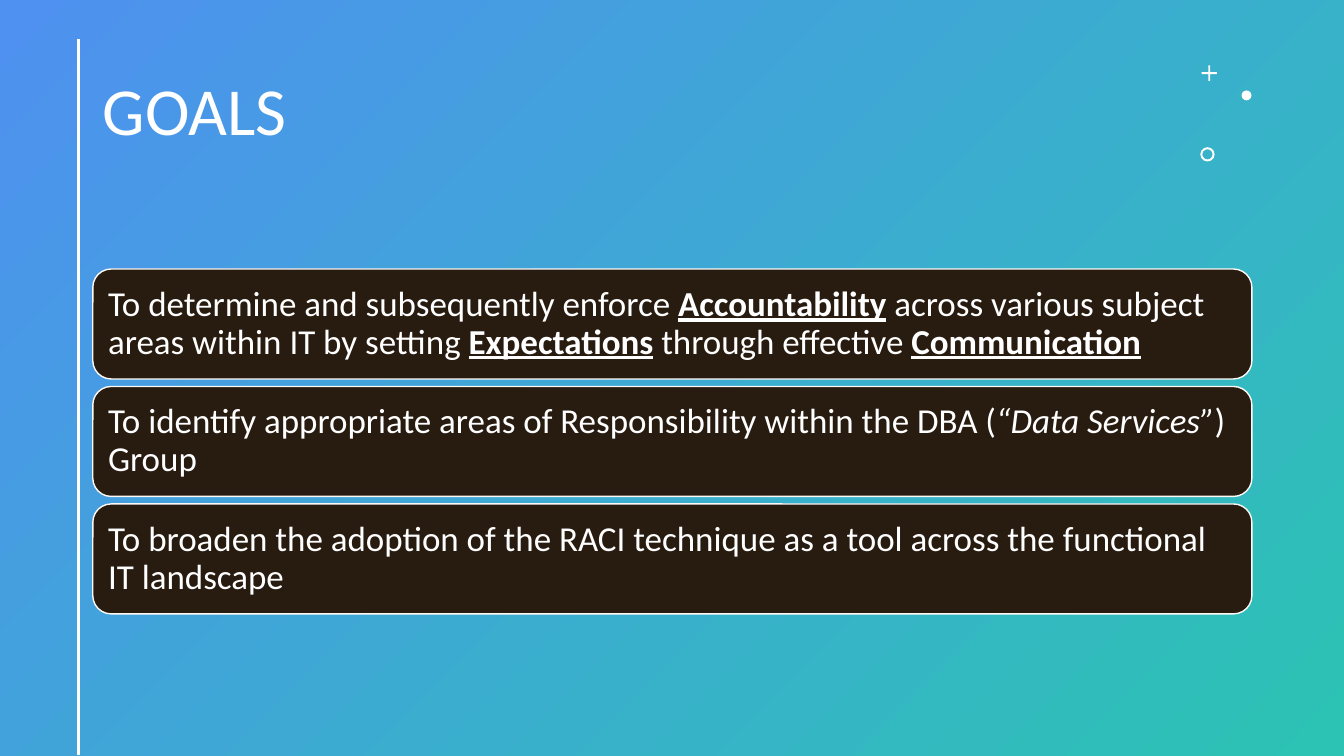
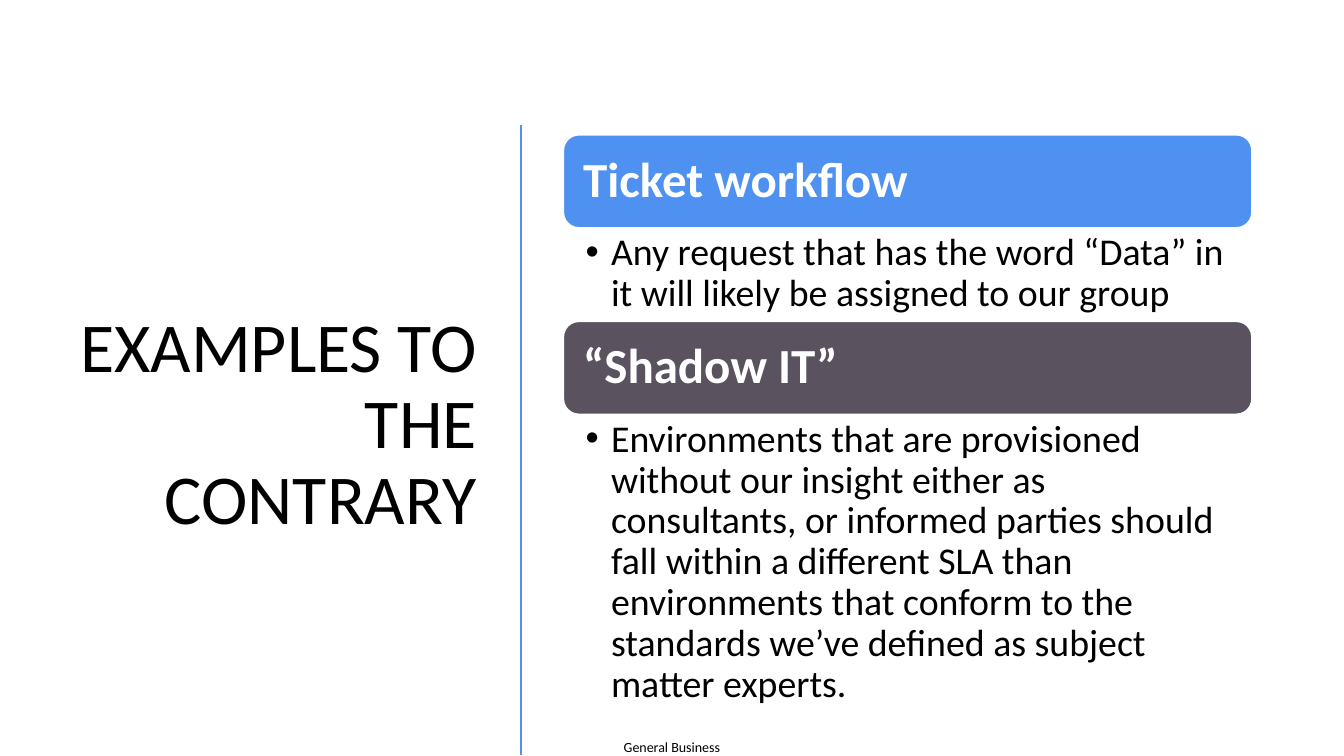
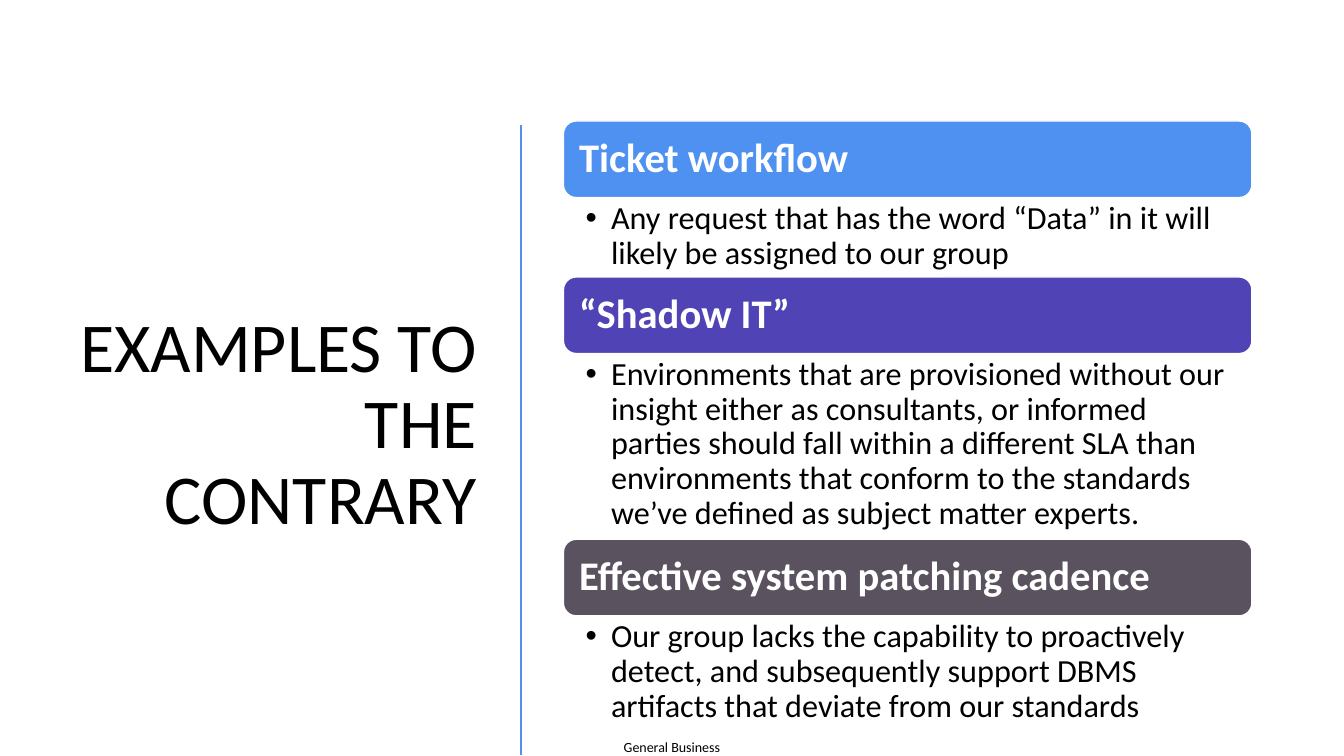
from lxml import etree
from pptx import Presentation
from pptx.dml.color import RGBColor
from pptx.enum.shapes import MSO_CONNECTOR, MSO_SHAPE
from pptx.enum.text import MSO_ANCHOR, MSO_AUTO_SIZE, PP_ALIGN
from pptx.oxml.ns import qn
from pptx.util import Cm, Pt

STRAIGHT = MSO_CONNECTOR.STRAIGHT
ROUNDED, OVAL = MSO_SHAPE.ROUNDED_RECTANGLE, MSO_SHAPE.OVAL
CROSS, DONUT = MSO_SHAPE.CROSS, MSO_SHAPE.DONUT
TOP, MIDDLE = MSO_ANCHOR.TOP, MSO_ANCHOR.MIDDLE
LEFT, RIGHT = PP_ALIGN.LEFT, PP_ALIGN.RIGHT
NO_AUTOFIT = MSO_AUTO_SIZE.NONE

FONT = "Calibri"
COLORS = {
    "white": "FFFFFF", "black": "000000", "blue": "4E91F0", "teal": "2CC3B4",
    "brown": "281B10", "cream": "FFF9F5", "grey": "5B5260", "violet": "5043B5",
}
SLIDE_W, SLIDE_H = 33.87, 19.05
RULE_END = 19.02

# Goal cards: runs of (text, style), where b is bold underlined and i is italic
GOALS = [
    [("To determine and subsequently enforce ", ""), ("Accountability", "b"),
     (" across various subject areas within IT by setting ", ""), ("Expectations", "b"),
     (" through effective ", ""), ("Communication", "b")],
    [("To identify appropriate areas of Responsibility within the DBA (", ""),
     ("“Data Services”", "i"), (") Group", "")],
    [("To broaden the adoption of the RACI technique as a tool across the functional "
      "IT landscape", "")],
]

# Examples: heading and explanation
TICKETS = ("Ticket workflow",
           "Any request that has the word “Data” in it will likely be assigned to our group")
SHADOW_IT = ("“Shadow IT”",
             "Environments that are provisioned without our insight either as consultants, "
             "or informed parties should fall within a different SLA than environments that "
             "conform to the standards we’ve defined as subject matter experts.")
PATCHING = ("Effective system patching cadence",
            "Our group lacks the capability to proactively detect, and subsequently support "
            "DBMS artifacts that deviate from our standards")


def rgb(name):
    return RGBColor.from_string(COLORS[name])


def box_cm(box):
    return [Cm(length) for length in box]


def style_frame(frame, size, color, anchor=TOP, align=LEFT, insets=(0, 0, 0, 0),
                spacing=0.9, bold=False):
    """Format a filled text frame; insets are left, top, right, bottom."""
    frame.word_wrap = True
    frame.auto_size = NO_AUTOFIT
    frame.vertical_anchor = anchor
    (frame.margin_left, frame.margin_top,
     frame.margin_right, frame.margin_bottom) = box_cm(insets)
    for paragraph in frame.paragraphs:
        paragraph.alignment = align
        paragraph.line_spacing = spacing
        for run in paragraph.runs:
            run.font.name = FONT
            run.font.size = Pt(size)
            run.font.bold = bold
            run.font.color.rgb = rgb(color)


def add_title(slide, text, box, size, color, align=LEFT):
    title = slide.shapes.title
    title.left, title.top, title.width, title.height = box_cm(box)
    title.text_frame.text = text
    style_frame(title.text_frame, size, color, MIDDLE, align, (0.25, 0.13, 0.25, 0.13))


def add_rule(slide, x, top, color):
    rule = slide.shapes.add_connector(STRAIGHT, Cm(x), Cm(top), Cm(x), Cm(RULE_END))
    rule.line.color.rgb = rgb(color)
    rule.line.width = Pt(2)
    etree.SubElement(rule._element.spPr, qn("a:effectLst"))


def add_panel(slide, kind, box, fill, line=None):
    panel = slide.shapes.add_shape(kind, *box_cm(box))
    panel.shadow.inherit = False
    panel.fill.solid()
    panel.fill.fore_color.rgb = rgb(fill)
    if line:
        panel.line.color.rgb = rgb(line)
        panel.line.width = Pt(1)
    else:
        panel.line.fill.background()
    return panel


def add_footer(slide):
    footer = slide.shapes.add_textbox(*box_cm((15.72, 18.62, 2.51, 0.43)))
    footer.text_frame.text = "General Business"
    style_frame(footer.text_frame, 10, "black", spacing=1)


def add_ornaments(slide, left, top):
    """Small plus, dot and ring."""
    plus = add_panel(slide, CROSS, (left + 0.03, top, 0.39, 0.39), "white")
    plus.adjustments[0] = 0.44
    add_panel(slide, OVAL, (left + 1.04, top + 0.63, 0.25, 0.25), "white")
    ring = add_panel(slide, DONUT, (left, top + 2.06, 0.36, 0.36), "white")
    ring.adjustments[0] = 0.14


def add_goal_cards(slide, left, top, width, height, gap):
    for index, goal in enumerate(GOALS):
        card_top = top + index * (height + gap)
        card = add_panel(slide, ROUNDED, (left, card_top, width, height), "brown", "cream")
        paragraph = card.text_frame.paragraphs[0]
        for text, _ in goal:
            paragraph.add_run().text = text
        style_frame(card.text_frame, 25, "white", MIDDLE, insets=(0.25,) * 4)
        for run, (_, style) in zip(paragraph.runs, goal):
            run.font.bold = run.font.underline = style == "b"
            run.font.italic = style == "i"


def add_bullet(paragraph):
    properties = paragraph._p.get_or_add_pPr()
    properties.set("marL", str(Cm(0.64)))
    properties.set("indent", str(-Cm(0.64)))
    font = etree.SubElement(properties, qn("a:buFont"))
    font.set("typeface", "Arial")
    etree.SubElement(properties, qn("a:buChar")).set("char", "•")


def add_examples(slide, left, top, width, examples, heading_h, heading_size,
                 heading_inset, body_size, body_insets):
    """Stack headings and explanations; examples hold (texts, color, body height)."""
    for (heading_text, body_text), color, body_h in examples:
        heading = add_panel(slide, ROUNDED, (left, top, width, heading_h), color, "white")
        heading.text_frame.text = heading_text
        style_frame(heading.text_frame, heading_size, "white", MIDDLE,
                    insets=(heading_inset,) * 4, bold=True)
        top += heading_h

        body = slide.shapes.add_textbox(*box_cm((left, top, width, body_h)))
        body.text_frame.text = body_text
        style_frame(body.text_frame, body_size, "black", insets=body_insets)
        add_bullet(body.text_frame.paragraphs[0])
        top += body_h


def build_goals(slide):
    # Diagonal gradient behind everything
    backdrop = slide.background.fill
    backdrop.gradient()
    backdrop.gradient_angle = 315
    for stop, color in zip(backdrop.gradient_stops, ("blue", "teal")):
        stop.color.rgb = rgb(color)

    add_title(slide, "GOALS", (2.34, 1.02, 27.23, 3.68), 48, "white")
    add_rule(slide, 1.98, 0.99, "white")
    add_ornaments(slide, 30.25, 1.65)
    add_goal_cards(slide, 2.34, 6.78, 29.21, 2.77, 0.19)


def build_contrary(slide, top, examples, **sizes):
    add_footer(slide)
    add_title(slide, "EXAMPLES TO THE CONTRARY", (1.32, 2.97, 10.95, 15.52), 50,
              "black", RIGHT)
    add_rule(slide, 13.13, 3.15, "blue")
    add_examples(slide, 14.2, top, 17.35, examples, **sizes)


def main():
    deck = Presentation()
    deck.slide_width, deck.slide_height = Cm(SLIDE_W), Cm(SLIDE_H)
    title_only = deck.slide_layouts[5]
    goals, two_examples, three_examples = (
        deck.slides.add_slide(title_only) for _ in range(3))

    build_goals(goals)
    build_contrary(
        two_examples, 3.4,
        [(TICKETS, "blue", 2.36), (SHADOW_IT, "grey", 7.65)],
        heading_h=2.34, heading_size=35, heading_inset=0.38,
        body_size=27, body_insets=(0.56, 0.13, 0.69, 0.13))
    build_contrary(
        three_examples, 3.05,
        [(TICKETS, "blue", 2), (SHADOW_IT, "violet", 4.68), (PATCHING, "grey", 2.92)],
        heading_h=1.93, heading_size=29, heading_inset=0.3,
        body_size=23, body_insets=(0.56, 0.1, 0.58, 0.1))
    deck.save("out.pptx")


if __name__ == "__main__":
    main()
